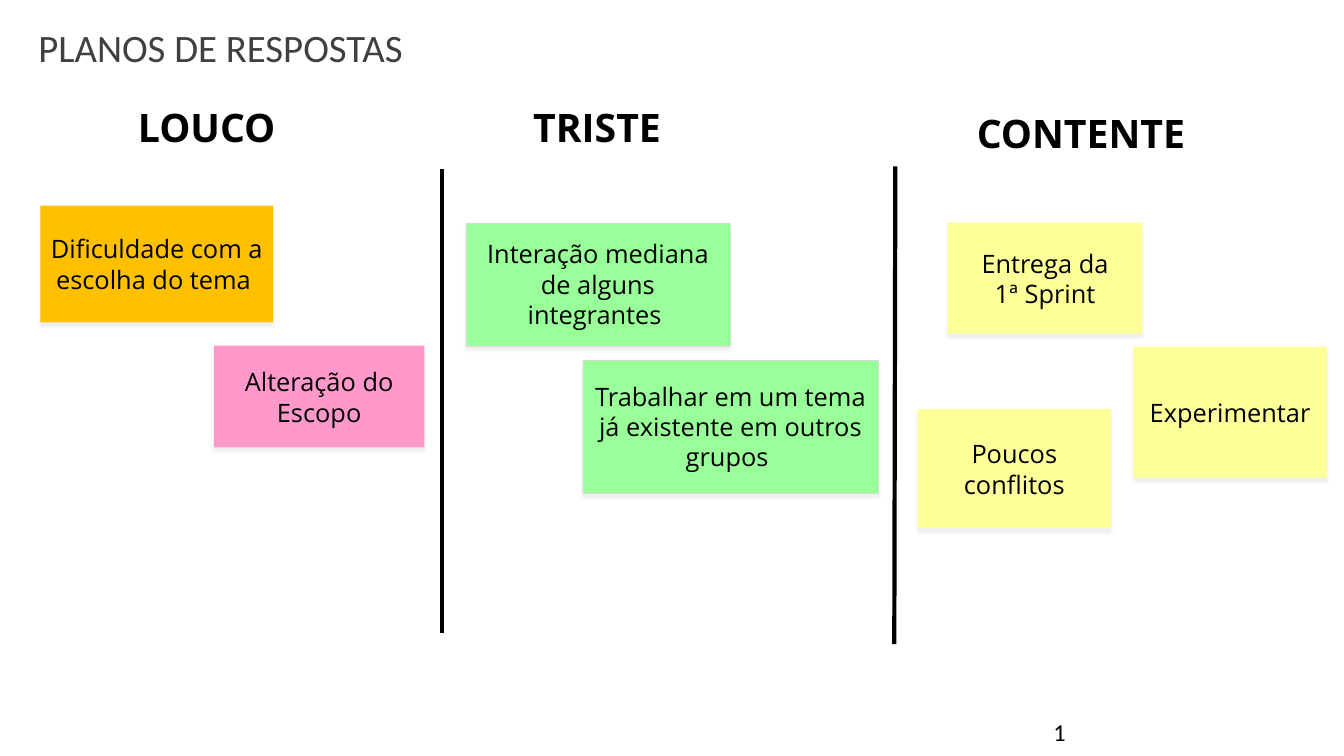
"""Build the response plans retrospective board with three columns of sticky notes."""
from lxml.etree import SubElement
from pptx import Presentation
from pptx.dml.color import RGBColor
from pptx.enum.shapes import MSO_CONNECTOR, MSO_SHAPE
from pptx.enum.text import MSO_ANCHOR, MSO_AUTO_SIZE, PP_ALIGN
from pptx.oxml.ns import qn
from pptx.util import Inches, Pt

COLORS = {"title": "404040", "black": "000000", "edge": "D9D9D9", "orange": "FFC000",
          "green": "99FF99", "pink": "FF99CC", "yellow": "FFFF99"}
TITLE = "PLANOS DE RESPOSTAS"
HEADINGS = [
    ("LOUCO", (1.27, 0.98, 1.84, 0.57)),
    ("TRISTE", (5.19, 0.98, 2.42, 0.57)),
    ("CONTENTE", (9.59, 1.04, 2.66, 0.57)),
]
DIVIDERS = [(4.38, 1.68, 4.38, 6.28), (8.88, 1.65, 8.87, 6.39)]
NOTES = [
    ("Dificuldade com a escolha do tema\u00a0", "orange", (0.4, 2.04, 2.31, 1.16)),
    ("Interação mediana de alguns integrantes\u00a0", "green", (4.62, 2.21, 2.62, 1.22)),
    ("Alteração do Escopo", "pink", (2.12, 3.43, 2.09, 1.01)),
    ("Entrega da 1ª\u00a0Sprint", "yellow", (9.4, 2.21, 1.93, 1.1)),
    ("Experimentar", "yellow", (11.24, 3.44, 1.92, 1.3)),
    ("Trabalhar em um tema já existente em outros grupos\u00a0", "green", (5.78, 3.57, 2.93, 1.32)),
    ("Poucos conflitos", "yellow", (9.1, 4.06, 1.92, 1.18)),
]


def rgb(name):
    return RGBColor.from_string(COLORS[name])


def write(sp, text, size, font="Open Sans", color="black", bold=False,
          align=PP_ALIGN.LEFT, anchor=MSO_ANCHOR.TOP):
    tf = sp.text_frame
    tf.text = text
    tf.word_wrap = True
    tf.auto_size = MSO_AUTO_SIZE.NONE
    tf.vertical_anchor = anchor
    p = tf.paragraphs[0]
    p.alignment = align
    p.font.size, p.font.name, p.font.bold = Pt(size), font, bold
    p.font.color.rgb = rgb(color)
    return p


def add_text(s, text, box, size, **style):
    return write(s.shapes.add_textbox(*map(Inches, box)), text, size, **style)


def add_divider(s, ends):
    line = s.shapes.add_connector(MSO_CONNECTOR.STRAIGHT, *map(Inches, ends))
    line.line.color.rgb = rgb("black")
    line.line.width = Pt(3)
    SubElement(line._element.spPr, qn("a:effectLst"))


def add_note(s, text, color, box):
    sp = s.shapes.add_shape(MSO_SHAPE.RECTANGLE, *map(Inches, box))
    sp.fill.solid()
    sp.fill.fore_color.rgb = rgb(color)
    if color == "green":
        sp.line.color.rgb = rgb("edge")
        sp.line.width = Pt(0.25)
    else:
        sp.line.fill.background()
    sp.shadow.inherit = False
    effects = sp._element.spPr.find(qn("a:effectLst"))
    shadow = SubElement(effects, qn("a:outerShdw"), blurRad=str(Pt(2)), dist=str(Pt(3)),
                        dir="5400000", algn="t", rotWithShape="0")
    tint = SubElement(shadow, qn("a:srgbClr"), val=COLORS["edge"])
    SubElement(tint, qn("a:alpha"), val="40000")
    write(sp, text, 18.1, align=PP_ALIGN.CENTER, anchor=MSO_ANCHOR.MIDDLE)


prs = Presentation()
prs.slide_width, prs.slide_height = Inches(13.33), Inches(7.5)
s = prs.slides.add_slide(prs.slide_layouts[5])

title = s.shapes.title
title.left, title.top, title.width, title.height = map(Inches, (0.28, 0.19, 10.75, 1.24))
write(title, TITLE, 27.7, font="Calibri", color="title").space_after = Pt(6)
add_text(s, "1", (10.35, 7.06, 3, 0.4), 17.3, font="Calibri", anchor=MSO_ANCHOR.MIDDLE)

for ends in DIVIDERS:
    add_divider(s, ends)
for text, box in HEADINGS:
    add_text(s, text, box, 28, bold=True)
for note in NOTES:
    add_note(s, *note)

prs.save("out.pptx")
